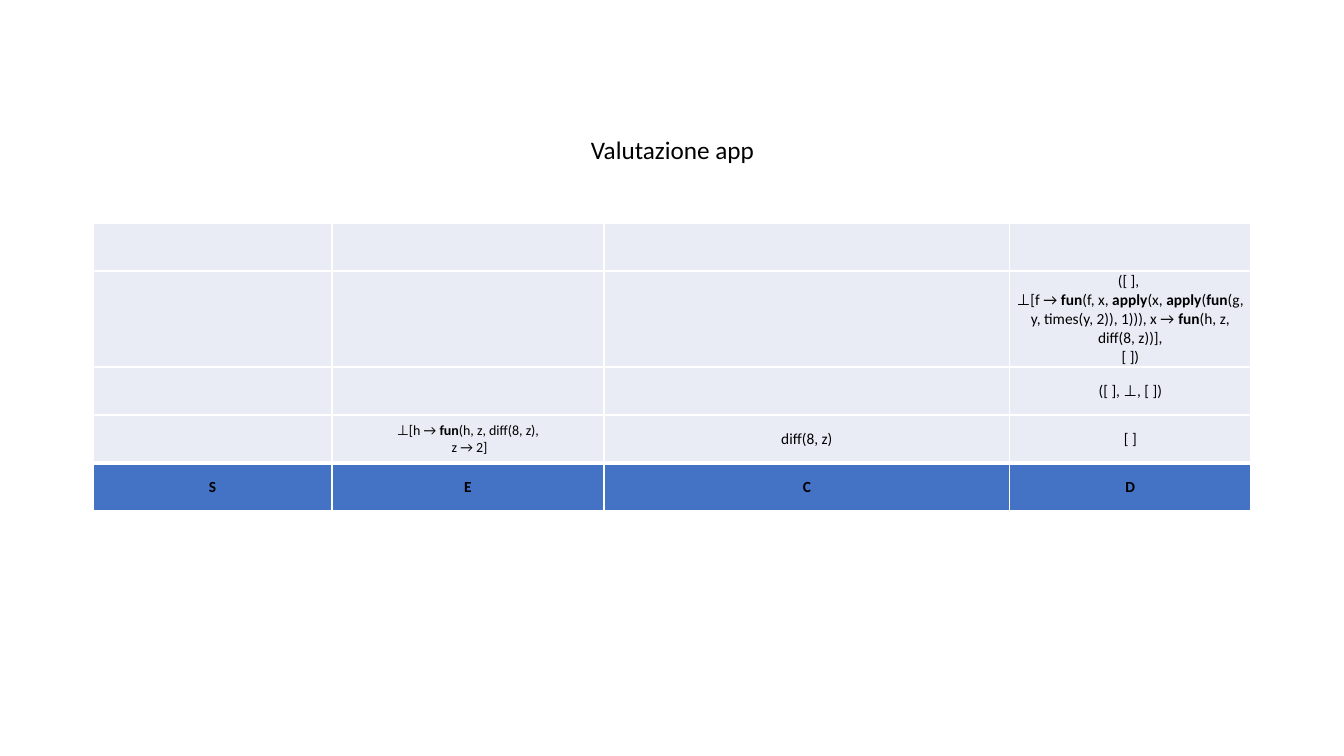
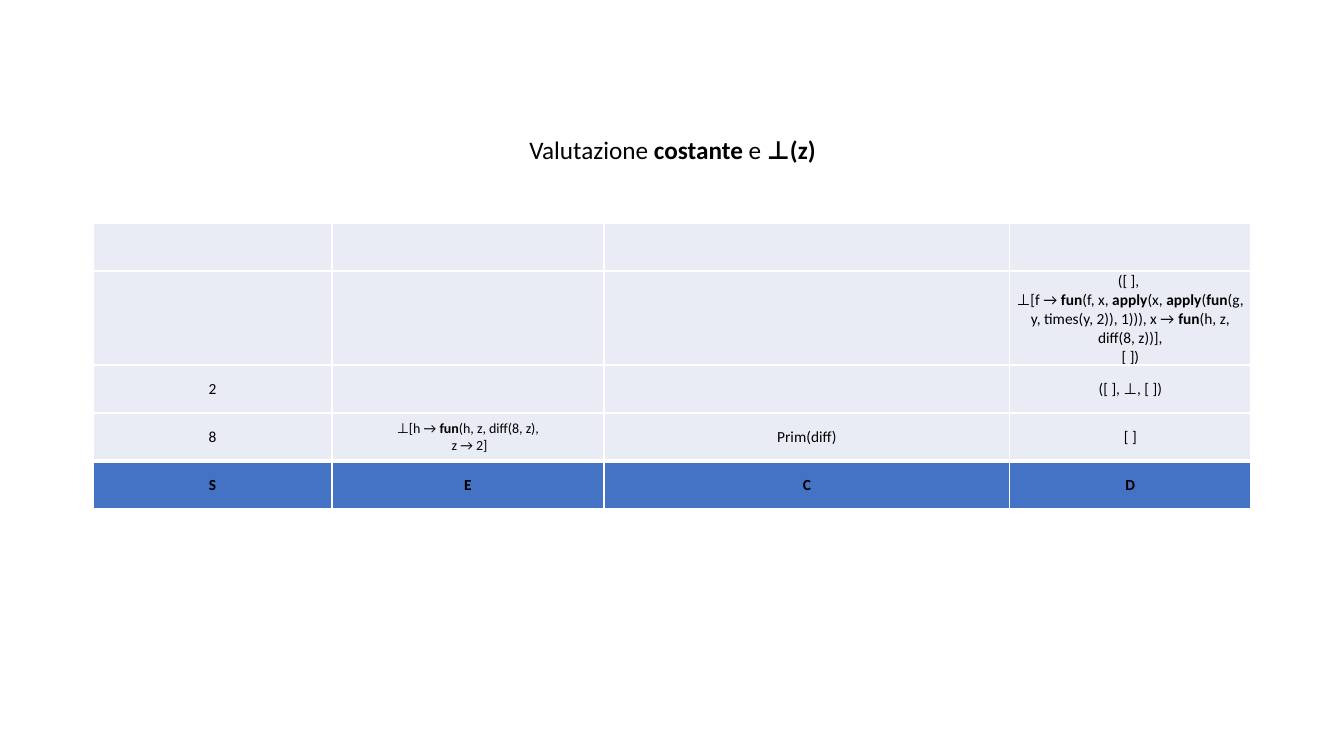
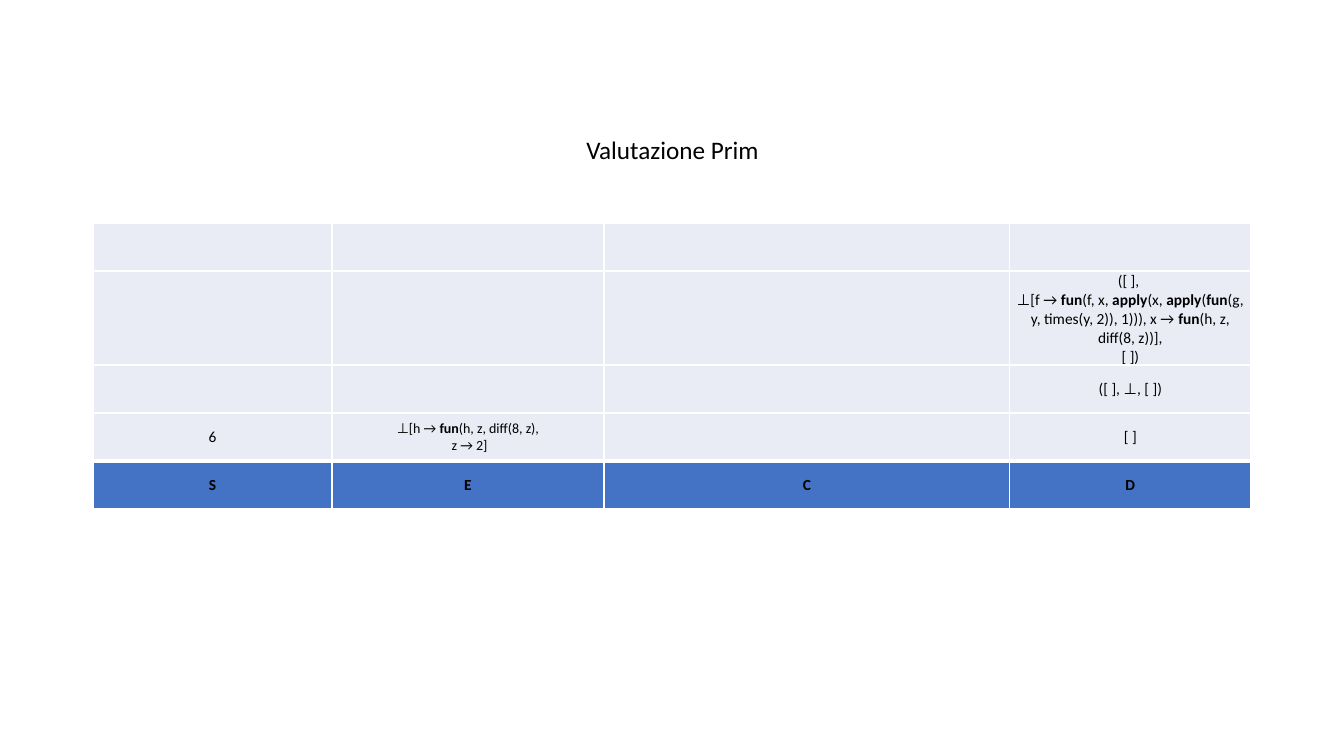
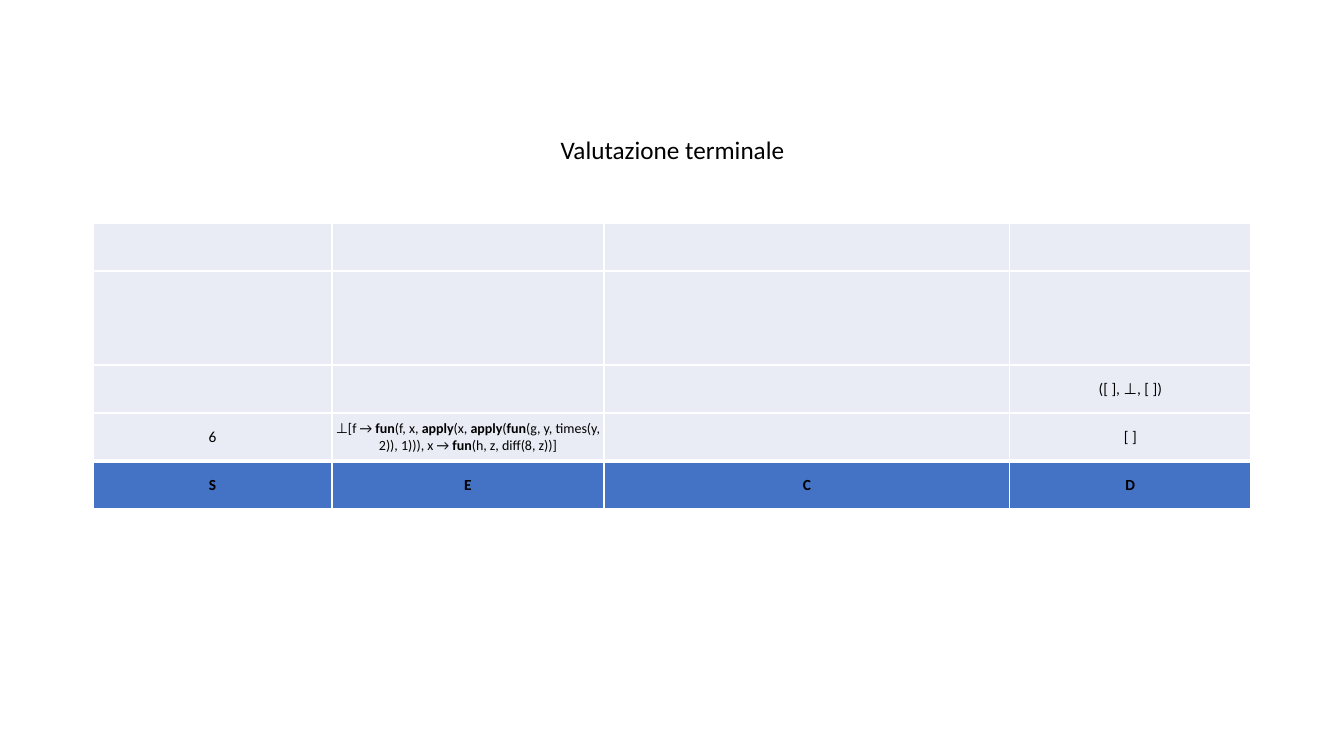
from lxml.etree import SubElement as Sub
from pptx import Presentation
from pptx.dml.color import RGBColor
from pptx.enum.text import MSO_ANCHOR as Anchor, MSO_AUTO_SIZE as Auto, PP_ALIGN as Align
from pptx.oxml.ns import qn
from pptx.util import Emu, Pt

SCALE = 914400 / 100.8
FONT = "Calibri"
INK, WHITE, PALE, BLUE = "000000", "FFFFFF", "E9EBF5", "4472C4"
TITLE = (491, 129, 363, 40)
GRID = (93, 223)
COLS = (239, 272, 406, 241)
ROWS = (48, 94, 48, 48, 48)
HEAD = len(ROWS) - 1

BODY = "⊥[f → *fun*(f, x, *apply*(x, *apply*(*fun*(g, y, times(y, 2)), 1))), x → *fun*(h, z, diff(8, z))]"
SAVED = "([ ], \n" + BODY + ",\n[ ])"
START = "([ ], ⊥, [ ])"
LOCAL = "⊥[h → *fun*(h, z, diff(8, z),\n z → 2]"
NAMES = ("*S*", "*E*", "*C*", "*D*")

SLIDES = (
    ("Valutazione app", SAVED, "", ("", LOCAL, "diff(8, z)", "[ ]")),
    ("Valutazione *costante *e *⊥(z)*", SAVED, "2", ("8", LOCAL, "Prim(diff)", "[ ]")),
    ("Valutazione Prim", SAVED, "", ("6", LOCAL, "", "[ ]")),
    ("Valutazione terminale", "", "", ("6", BODY, "", "[ ]")),
)


def px(size):
    """Turn px into EMU."""
    return Emu(round(size * SCALE))


def color(code):
    """Turn a hex string into a colour."""
    return RGBColor.from_string(code)


def write(frame, text, size):
    """Write centred text, with bold parts between asterisks."""
    par = frame.paragraphs[0]
    par.alignment = Align.CENTER
    for row, line in enumerate(text.split("\n")):
        if row:
            par.add_line_break()
        for part, words in enumerate(line.split("*")):
            if words:
                run = par.add_run()
                run.text = words
                font = run.font
                font.name, font.size, font.bold = FONT, Pt(size), part % 2 == 1
                font.color.rgb = color(INK)
    for gap in par._p.findall(qn("a:br")):
        Sub(gap, qn("a:rPr"), sz=str(size * 100))


def edge(cell, side, width):
    """Draw one white border of a cell."""
    line = Sub(cell._tc.get_or_add_tcPr(), qn("a:ln" + side), w=str(Pt(width)))
    Sub(Sub(line, qn("a:solidFill")), qn("a:srgbClr"), val=WHITE)


def style(cell, row, col, text):
    """Border, fill and write one cell of the table."""
    for side in "LRTB":
        thick = (row, side) in ((HEAD, "T"), (HEAD - 1, "B"))
        edge(cell, side, 3 if thick else 1)
    cell.fill.solid()
    cell.fill.fore_color.rgb = color(BLUE if row == HEAD else PALE)
    if text:
        cell.vertical_anchor = Anchor.MIDDLE
        cell.margin_left = cell.margin_right = cell.margin_top = px(1)
        cell.margin_bottom = 0
        write(cell.text_frame, text, 10 if col == 1 and row < HEAD else 11)


def title(slide, box, text):
    """Place the slide title in its box."""
    frame = slide.shapes.add_textbox(*map(px, box)).text_frame
    frame.word_wrap = True
    frame.auto_size = Auto.SHAPE_TO_FIT_TEXT
    write(frame, text, 18)


def stack(slide, spot, data):
    """Place the machine state table at a spot."""
    size = sum(COLS), sum(ROWS)
    table = slide.shapes.add_table(len(ROWS), len(COLS), *map(px, spot + size)).table
    table.first_row = table.horz_banding = False
    for col, width in zip(table.columns, COLS):
        col.width = px(width)
    for row, height in zip(table.rows, ROWS):
        row.height = px(height)
    for row, line in enumerate(data):
        for col, text in enumerate(line):
            style(table.cell(row, col), row, col, text)


def main():
    """Build and save the deck."""
    deck = Presentation()
    deck.slide_width, deck.slide_height = px(1344), px(756)
    for name, dump, value, state in SLIDES:
        slide = deck.slides.add_slide(deck.slide_layouts[6])
        data = ("",) * 4, ("", "", "", dump), (value, "", "", START), state, NAMES
        stack(slide, GRID, data)
        title(slide, TITLE, name)
    deck.save("out.pptx")


if __name__ == "__main__":
    main()
